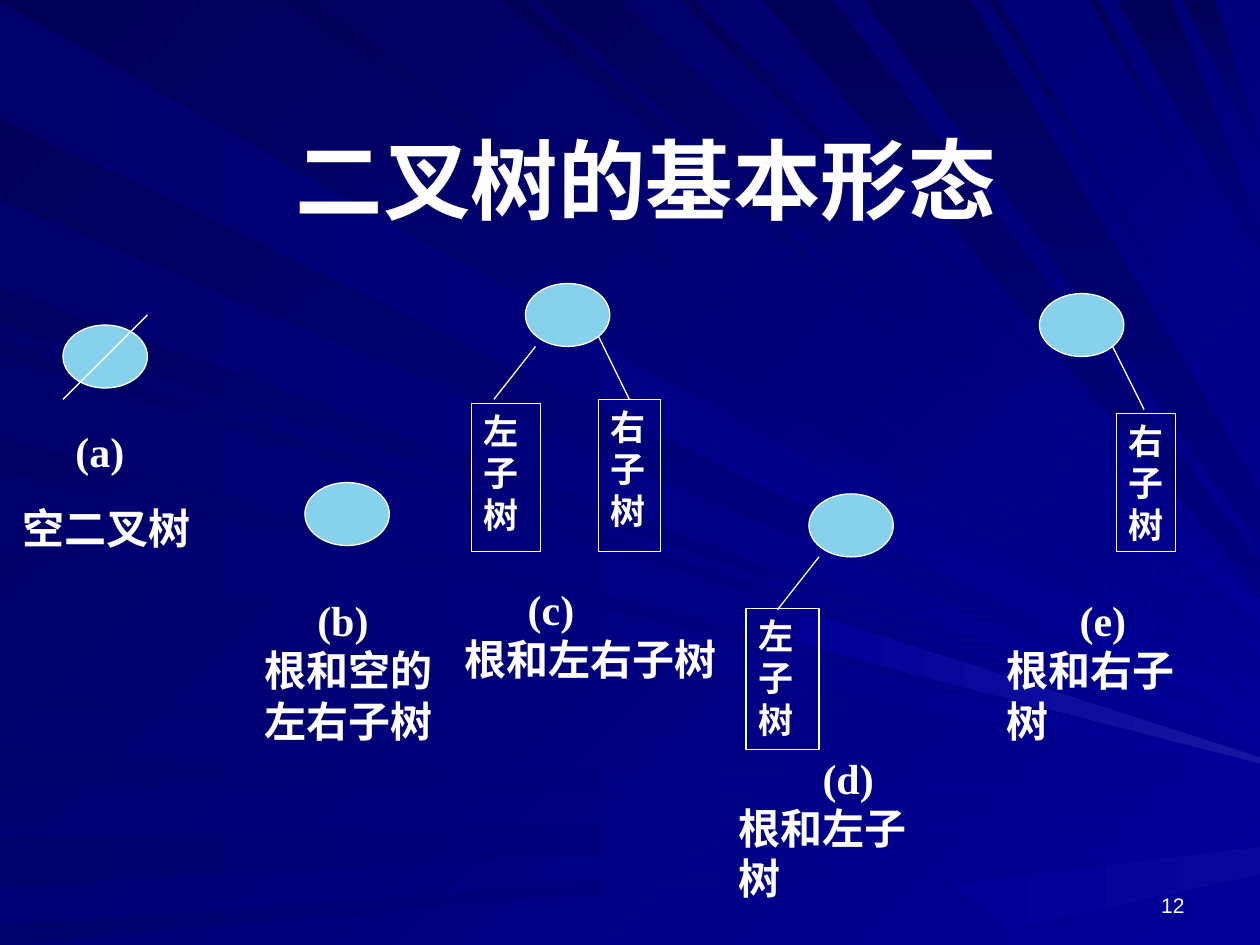
import pptx
import pptx.util
from lxml import etree
from pptx.dml.color import RGBColor
from pptx.enum.shapes import MSO_CONNECTOR, MSO_SHAPE
from pptx.enum.text import MSO_ANCHOR, PP_ALIGN
from pptx.oxml.ns import qn

PX = 9144  # 100 px to the inch
W, H = 1000, 750
NODE_W, NODE_H = 67, 50
HAIRLINE = pptx.util.Pt(0.75)

WHITE = RGBColor.from_string("FFFFFF")
SKY = RGBColor.from_string("86D1EC")
BLUE = RGBColor.from_string("000099")
NAVY = RGBColor.from_string("000080")
MIDNIGHT = RGBColor.from_string("000057")
DUSK = RGBColor.from_string("00006A")
GLOW = RGBColor.from_string("1616A1")
FAINT_GLOW = RGBColor.from_string("07079B")

SERIF, SANS, CJK = "Times New Roman", "Arial", "Noto Sans CJK SC"
TITLE = {"name": CJK, "size": pptx.util.Pt(50), "bold": True}
CAPTION = {"name": SERIF, "size": pptx.util.Pt(24), "bold": True}
SUBTREE = {"name": SERIF, "size": pptx.util.Pt(20), "bold": True}
NUMBER = {"name": SANS, "size": pptx.util.Pt(12), "bold": False}

# Start on the left or top edge, width there, height reached on the right edge
LEFT_RAYS = [(2, 91, 569), (596, 27, 631), (665, 39, 645), (735, 15, 662),
             (258, 12, 589), (159, 69, 584), (374, 63, 605), (552, 8, 621),
             (283, 64, 601)]
TOP_RAYS = [(26, 75, 562), (398, 18, 515), (426, 66, 480), (540, 12, 463),
            (225, 22, 547), (785, 7, 354), (865, 7, 249)]
TOP_SHADOWS = [(606, 55, 445), (686, 84, 390), (887, 43, 183), (939, 25, 114)]

# Line start and end, relative to the node corner
SLASH = (67, -8), (0, 59)
TO_LEFT = (8, 50), (-25, 92)
TO_RIGHT = (58, 42), (83, 92)

# Node corner, then branches: line, subtree box relative to the node, subtree text
TREES = [
    (50, 258, [(SLASH, None, "")]),
    (242, 383, []),
    (417, 225, [(TO_LEFT, (-43, 95, 55, 118), "左子树"),
                (TO_RIGHT, (58, 92, 49, 121), "右子树")]),
    (642, 392, [(TO_LEFT, (-50, 91, 58, 112), "左子树")]),
    (825, 233, [(TO_RIGHT, (61, 95, 47, 110), "右子树")]),
]

# Box, label, label indent, description, space between, wrap
CAPTIONS = [
    ((8, 333, 167, 111), "(a)", 42, "空二叉树", 15, True),
    ((200, 467, 183, 130), "(b)", 42, "根和空的左右子树", 0, True),
    ((359, 458, 220, 90), "(c)", 50, "根和左右子树", 0, False),
    ((576, 592, 186, 90), "(d)", 67, "根和左子树", 0, False),
    ((789, 467, 186, 90), "(e)", 58, "根和右子树", 0, False),
]


def emu(*lengths):
    return [round(n * PX) for n in lengths]


def paint(fill, first, last, angle):
    """Fill with a gradient; the angle runs counter-clockwise."""
    fill.gradient()
    fill.gradient_angle = angle
    for stop, colour in zip(fill.gradient_stops, (first, last)):
        stop.color.rgb = colour


def write(tf, lines, fmt, align=PP_ALIGN.LEFT, anchor=MSO_ANCHOR.TOP, wrap=True):
    """Fill a frame with one paragraph per line and return the paragraphs."""
    tf.word_wrap = wrap
    tf.vertical_anchor = anchor
    for i, line in enumerate(lines):
        p = tf.add_paragraph() if i else tf.paragraphs[0]
        p.alignment = align
        r = p.add_run()
        r.text = line
        for key, value in fmt.items():
            setattr(r.font, key, value)
        r.font.color.rgb = WHITE
        ea = etree.SubElement(r.font._element, qn("a:ea"))
        ea.set("typeface", CJK)
    return tf.paragraphs


def text(s, box, lines, fmt, **layout):
    return write(s.shapes.add_textbox(*emu(*box)).text_frame, lines, fmt, **layout)


def beam(s, corners, *colours):
    builder = s.shapes.build_freeform(*corners[0], scale=float(PX))
    builder.add_line_segments(corners[1:], close=True)
    sp = builder.convert_to_shape()
    sp.shadow.inherit = False
    sp.line.fill.background()
    paint(sp.fill, *colours)


def top_beam(s, start, width, end, spread, *colours):
    beam(s, [(start, 0), (start + width, 0), (W, end), (W, end + spread)], *colours)


def backdrop(s):
    paint(s.background.fill, BLUE, MIDNIGHT, 135)
    for start, width, end in TOP_RAYS:
        top_beam(s, start, width, end, width // 4, BLUE, MIDNIGHT, 135)
    for start, width, end in TOP_SHADOWS:
        top_beam(s, start, width, end, width // 2, NAVY, MIDNIGHT, 90)
    for start, width, end in LEFT_RAYS:
        beam(s, [(0, start), (W, end), (W, end + width // 12), (0, start + width)],
             BLUE, DUSK, 180)
    beam(s, [(637, 485), (W, 601), (W, 606), (633, 511)], GLOW, BLUE, 180)
    beam(s, [(756, 702), (W, 672), (W, 694), (800, 737)], FAINT_GLOW, BLUE, 180)


def outlined(shapes, kind, box):
    sp = shapes.add_shape(kind, *emu(*box))
    sp.shadow.inherit = False
    sp.fill.background()
    sp.line.color.rgb = WHITE
    sp.line.width = HAIRLINE
    return sp


def tree(s, x, y, branches):
    shapes = s.shapes.add_group_shape().shapes if branches else s.shapes
    node = outlined(shapes, MSO_SHAPE.OVAL, (x, y, NODE_W, NODE_H))
    node.fill.solid()
    node.fill.fore_color.rgb = SKY
    for ((x1, y1), (x2, y2)), box, name in branches:
        line = shapes.add_connector(
            MSO_CONNECTOR.STRAIGHT, *emu(x + x1, y + y1, x + x2, y + y2))
        line.line.color.rgb = WHITE
        line.line.width = HAIRLINE
        etree.SubElement(line._element.spPr, qn("a:effectLst"))
        if box:
            left, top, width, height = box
            sp = outlined(shapes, MSO_SHAPE.RECTANGLE, (x + left, y + top, width, height))
            write(sp.text_frame, name, SUBTREE, align=PP_ALIGN.JUSTIFY)
            if y2 == top and abs(left + width / 2 - x2) < 1:
                line.end_connect(sp, 0)


def caption(s, box, label, indent, description, gap, wrap):
    first, second = text(s, box, [label, description], CAPTION, wrap=wrap)
    first._p.get_or_add_pPr().set("marL", str(indent * PX))
    second.space_before = pptx.util.Pt(gap)


def main():
    prs = pptx.Presentation()
    prs.slide_width, prs.slide_height = emu(W, H)
    s = prs.slides.add_slide(prs.slide_layouts[6])
    backdrop(s)
    text(s, (50, 100, 925, 83), ["二叉树的基本形态"], TITLE,
         align=PP_ALIGN.CENTER, anchor=MSO_ANCHOR.MIDDLE)
    for form in TREES:
        tree(s, *form)
    for entry in CAPTIONS:
        caption(s, *entry)
    text(s, (717, 683, 233, 50), ["12"], NUMBER,
         align=PP_ALIGN.RIGHT, anchor=MSO_ANCHOR.BOTTOM)
    prs.save("out.pptx")


if __name__ == "__main__":
    main()
